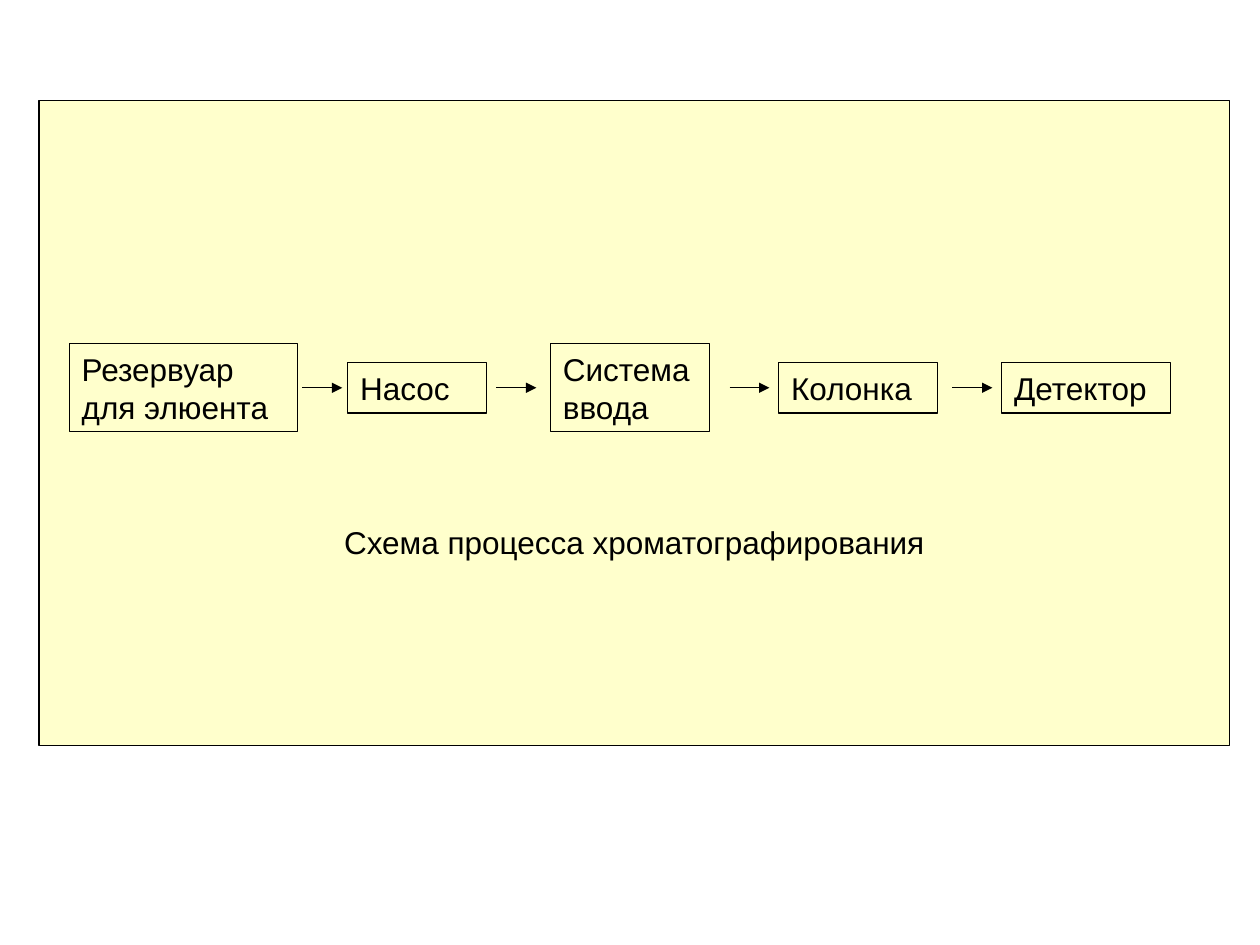
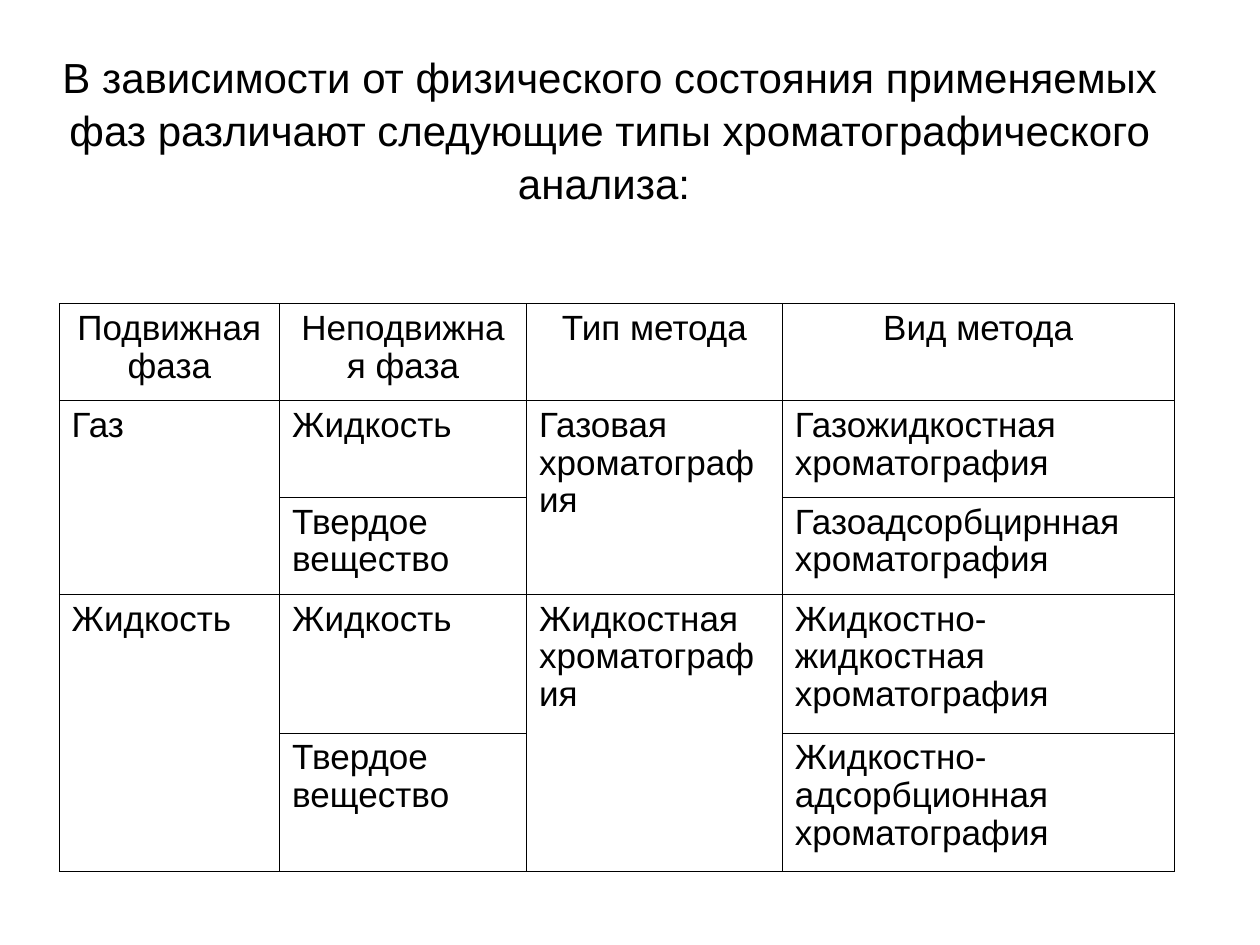
from dataclasses import dataclass

from lxml.etree import SubElement
from pptx import Presentation
from pptx.dml.color import RGBColor
from pptx.enum.shapes import MSO_CONNECTOR as Connector, MSO_SHAPE as Preset
from pptx.enum.text import MSO_ANCHOR as Anchor, MSO_AUTO_SIZE as AutoSize, PP_ALIGN as Align
from pptx.oxml.ns import qn
from pptx.util import Pt


@dataclass(frozen=True)
class Theme:
    """Colours, type sizes and line widths of the slides."""
    font: str = "Arial"
    ink: RGBColor = RGBColor(0, 0, 0)
    panel: RGBColor = RGBColor(0xFF, 0xFF, 0xCC)
    title_size: float = 24
    table_size: float = 20
    label_size: float = 18
    outline: float = 0.74
    border: float = 0.45


@dataclass(frozen=True)
class Box:
    """A rectangle in points."""
    left: float
    top: float
    width: float
    height: float

    def inner(self, left, top, width, height):
        """Return a box whose place is counted from this box's corner."""
        return Box(self.left + left, self.top + top, width, height)

    def lengths(self):
        """Return left, top, width and height as slide lengths."""
        return [Pt(value) for value in (self.left, self.top, self.width, self.height)]


THEME = Theme()

# Text, left, width and height of each stage, counted from the panel
STAGES = [
    ("Резервуар для элюента", 17.3, 130.3, 50.4),
    ("Насос", 176.4, 79.2, 28.8),
    ("Система ввода", 292.3, 90.7, 50.4),
    ("Колонка", 422.7, 90.7, 28.8),
    ("Детектор", 550.1, 96.5, 28.8),
]
ARROW_STARTS = [150.5, 261.4, 394.6, 522]
ARROW_LENGTH = 22.8
FLOW_AXIS = 164

COLUMN_WIDTHS = [126, 141.1, 146.2, 223.9]
ROW_HEIGHTS = [55.4, 55.4, 55.4, 79.2, 79.2]
METHODS = [
    ["Подвижная фаза", "Неподвижная фаза", "Тип метода", "Вид метода"],
    ["Газ", "Жидкость", "Газовая хроматография", "Газожидкостная хроматография"],
    [None, "Твердое вещество", None, "Газоадсорбцирнная хроматография"],
    ["Жидкость", "Жидкость", "Жидкостная хроматография",
     "Жидкостно-жидкостная хроматография"],
    [None, "Твердое вещество", None, "Жидкостно-адсорбционная хроматография"],
]


def write(text_frame, text, size, align=Align.LEFT, spacing=None):
    """Fill a text frame with one paragraph in the theme's font."""
    text_frame.text = text
    text_frame.word_wrap = True
    paragraph = text_frame.paragraphs[0]
    paragraph.alignment = align
    paragraph.line_spacing = spacing
    for run in paragraph.runs:
        run.font.name = THEME.font
        run.font.size = Pt(size)
        run.font.color.rgb = THEME.ink


def add_text(slide, box, text, size, spacing=None):
    """Add a centred text box."""
    text_frame = slide.shapes.add_textbox(*box.lengths()).text_frame
    write(text_frame, text, size, Align.CENTER, spacing)
    text_frame.vertical_anchor = Anchor.MIDDLE
    text_frame.auto_size = AutoSize.SHAPE_TO_FIT_TEXT


def add_rectangle(slide, box, fill=None):
    """Add an outlined rectangle, filled if a colour is given."""
    shape = slide.shapes.add_shape(Preset.RECTANGLE, *box.lengths())
    shape.shadow.inherit = False
    shape.line.color.rgb = THEME.ink
    shape.line.width = Pt(THEME.outline)
    if fill is None:
        shape.fill.background()
    else:
        shape.fill.solid()
        shape.fill.fore_color.rgb = fill
    return shape


def add_stage(slide, box, text):
    """Add one labelled stage of the process."""
    text_frame = add_rectangle(slide, box).text_frame
    write(text_frame, text, THEME.label_size)
    text_frame.vertical_anchor = Anchor.TOP
    text_frame.auto_size = AutoSize.SHAPE_TO_FIT_TEXT


def add_arrow(slide, box):
    """Add an arrow that runs along the top edge of the box."""
    left, top, width, _ = box.lengths()
    arrow = slide.shapes.add_connector(Connector.STRAIGHT, left, top, left + width, top)
    arrow.line.color.rgb = THEME.ink
    arrow.line.width = Pt(THEME.outline)
    SubElement(arrow.line._get_or_add_ln(), qn("a:tailEnd"), type="triangle")
    SubElement(arrow._element.spPr, qn("a:effectLst"))


def add_process(slide, box):
    """Draw the panel with the stages, the arrows and the caption."""
    add_rectangle(slide, box, THEME.panel)
    for text, left, width, height in STAGES:
        add_stage(slide, box.inner(left, FLOW_AXIS - height / 2, width, height), text)
    for start in ARROW_STARTS:
        add_arrow(slide, box.inner(start, FLOW_AXIS, ARROW_LENGTH, 0))
    add_text(slide, box.inner(42.5, 237.6, 595.4, 28.8),
             "Схема процесса хроматографирования", THEME.label_size)


def add_borders(cell):
    """Draw thin lines on the four sides of a cell."""
    properties = cell._tc.get_or_add_tcPr()
    for side in ("lnL", "lnR", "lnT", "lnB"):
        line = SubElement(properties, qn(f"a:{side}"), w=str(Pt(THEME.border)))
        fill = SubElement(line, qn("a:solidFill"))
        SubElement(fill, qn("a:srgbClr"), val=str(THEME.ink))


def add_methods(slide, box):
    """Add the table of methods; an empty entry joins the cell above."""
    table = slide.shapes.add_table(len(METHODS), len(COLUMN_WIDTHS), *box.lengths()).table
    table.first_row = table.horz_banding = False
    for column, width in zip(table.columns, COLUMN_WIDTHS):
        column.width = Pt(width)
    for row, height in zip(table.rows, ROW_HEIGHTS):
        row.height = Pt(height)
    for row_index, texts in enumerate(METHODS):
        align = Align.JUSTIFY if row_index else Align.CENTER
        for column_index, text in enumerate(texts):
            cell = table.cell(row_index, column_index)
            add_borders(cell)
            cell.fill.background()
            if text is None:
                table.cell(row_index - 1, column_index).merge(cell)
            else:
                write(cell.text_frame, text, THEME.table_size, align, 0.97)


def main():
    """Build and save the two slides."""
    presentation = Presentation()
    presentation.slide_width, presentation.slide_height = Pt(720), Pt(540)
    blank = presentation.slide_layouts[6]

    add_process(presentation.slides.add_slide(blank), Box(22.3, 57.6, 680.4, 368.6))

    slide = presentation.slides.add_slide(blank)
    add_methods(slide, Box(33.8, 173.5, sum(COLUMN_WIDTHS), sum(ROW_HEIGHTS)))
    add_text(slide, Box(25.2, 26.6, 646.6, 93.6),
             "В зависимости от физического состояния применяемых фаз "
             "различают следующие типы хроматографического анализа: ",
             THEME.title_size, 1.05)

    presentation.save("out.pptx")


main()
